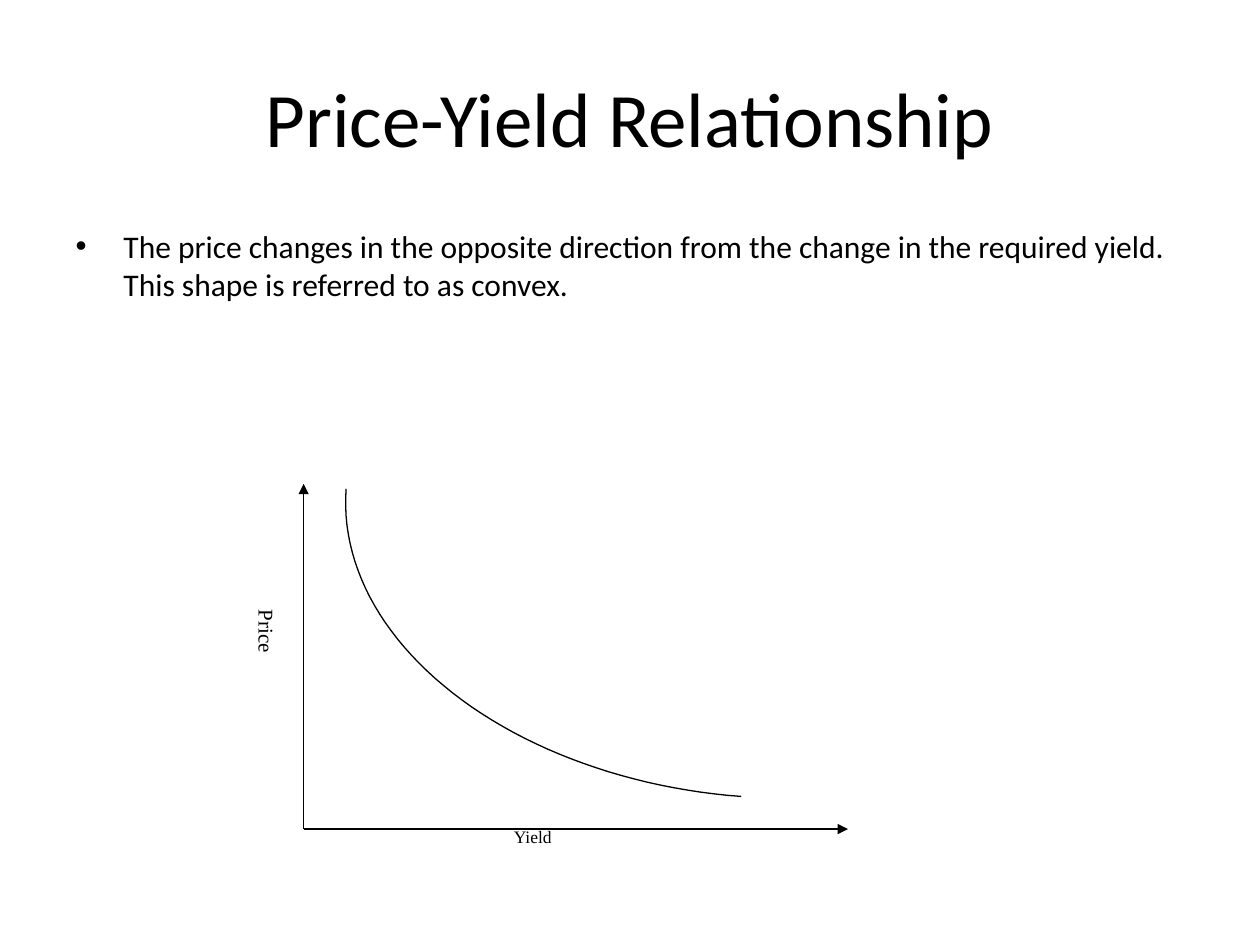
from dataclasses import dataclass
from math import cos, pi, sin

from lxml.etree import SubElement
from pptx import Presentation
from pptx.dml.color import RGBColor
from pptx.enum.shapes import MSO_CONNECTOR
from pptx.enum.text import MSO_ANCHOR, PP_ALIGN
from pptx.oxml.ns import qn
from pptx.util import Inches, Pt

BLACK = "000000"
LINE_WIDTH = Pt(0.75)
ORIGIN = (2.41, 6.58)


@dataclass
class Label:
    text: str
    box: tuple[float, float, float, float]
    margins: tuple[float, float, float]  # sides, top, bottom
    size: int
    vertical: bool = False


LABELS = [
    Label("Yield", (3.98, 6.51, 0.65, 0.29), (0.1, 0.05, 0.05), 10),
    Label("Price", (1.77, 4.62, 0.5, 0.79), (0.05, 0.22, 0.1), 12, vertical=True),
]
AXIS_ENDS = [(2.41, 3.84), (6.73, 6.58)]


def rgb(color: str) -> RGBColor:
    return RGBColor.from_string(color)


def place(sp, box: tuple[float, float, float, float]) -> None:
    sp.left, sp.top, sp.width, sp.height = (Inches(v) for v in box)


def add_run(p, text: str, size: int, font: str = "Calibri") -> None:
    r = p.add_run()
    r.text = text
    r.font.size = Pt(size)
    r.font.name = font
    r.font.color.rgb = rgb(BLACK)


def style_line(sp) -> None:
    sp.line.color.rgb = rgb(BLACK)
    sp.line.width = LINE_WIDTH


def add_label(s, label: Label) -> None:
    sp = s.shapes.add_textbox(*(Inches(v) for v in label.box))
    tf = sp.text_frame
    tf.word_wrap = True
    side, top, bottom = (Inches(v) for v in label.margins)
    tf.margin_left = tf.margin_right = side
    tf.margin_top, tf.margin_bottom = top, bottom
    if label.vertical:
        tf._txBody.bodyPr.set("vert", "eaVert")
    p = tf.paragraphs[0]
    p.alignment = PP_ALIGN.JUSTIFY
    add_run(p, label.text, label.size, "Times New Roman")


def add_axis(s, end: tuple[float, float]) -> None:
    axis = s.shapes.add_connector(
        MSO_CONNECTOR.STRAIGHT, *(Inches(v) for v in ORIGIN + end))
    style_line(axis)
    SubElement(axis.line._get_or_add_ln(), qn("a:tailEnd"), type="triangle")
    SubElement(axis._element.spPr, qn("a:effectLst"))


def add_curve(s, box: tuple[float, float, float, float],
              rotation: float, steps: int = 48) -> None:
    """Draw a quarter ellipse filling the box, then turn it."""
    left, top, width, height = box
    angles = [pi / 2 * i / steps for i in range(steps + 1)]
    points = [(Inches(left + width * sin(a)),
               Inches(top + height * (1 - cos(a)))) for a in angles]
    builder = s.shapes.build_freeform(*points[0])
    builder.add_line_segments(points[1:], close=False)
    curve = builder.convert_to_shape()
    curve.rotation = rotation
    curve.shadow.inherit = False
    curve.fill.background()
    style_line(curve)


def main() -> None:
    prs = Presentation()
    prs.slide_width, prs.slide_height = Inches(10), Inches(7.5)
    s = prs.slides.add_slide(prs.slide_layouts[1])
    title, body = s.placeholders

    # Title
    place(title, (0.5, 0.3, 9, 1.25))
    title.text_frame.vertical_anchor = MSO_ANCHOR.MIDDLE
    p = title.text_frame.paragraphs[0]
    p.alignment = PP_ALIGN.CENTER
    add_run(p, "Price-Yield Relationship", 44)

    # Bullet text
    place(body, (0.5, 1.75, 9, 4.95))
    p = body.text_frame.paragraphs[0]
    p.space_before = Pt(0)
    pPr = p._p.get_or_add_pPr()
    pPr.set("marL", str(Inches(0.38)))
    pPr.set("indent", str(Inches(-0.38)))
    SubElement(pPr, qn("a:buChar"), char="•")
    add_run(p, "The price changes in the opposite direction from the change in "
               "the required yield. This shape is referred to as convex.", 18)

    # Diagram: labels, axes and convex curve
    for label in LABELS:
        add_label(s, label)
    for end in AXIS_ENDS:
        add_axis(s, end)
    add_curve(s, (2.66, 4, 3.31, 2.2), 184.3)

    prs.save("out.pptx")


if __name__ == "__main__":
    main()
